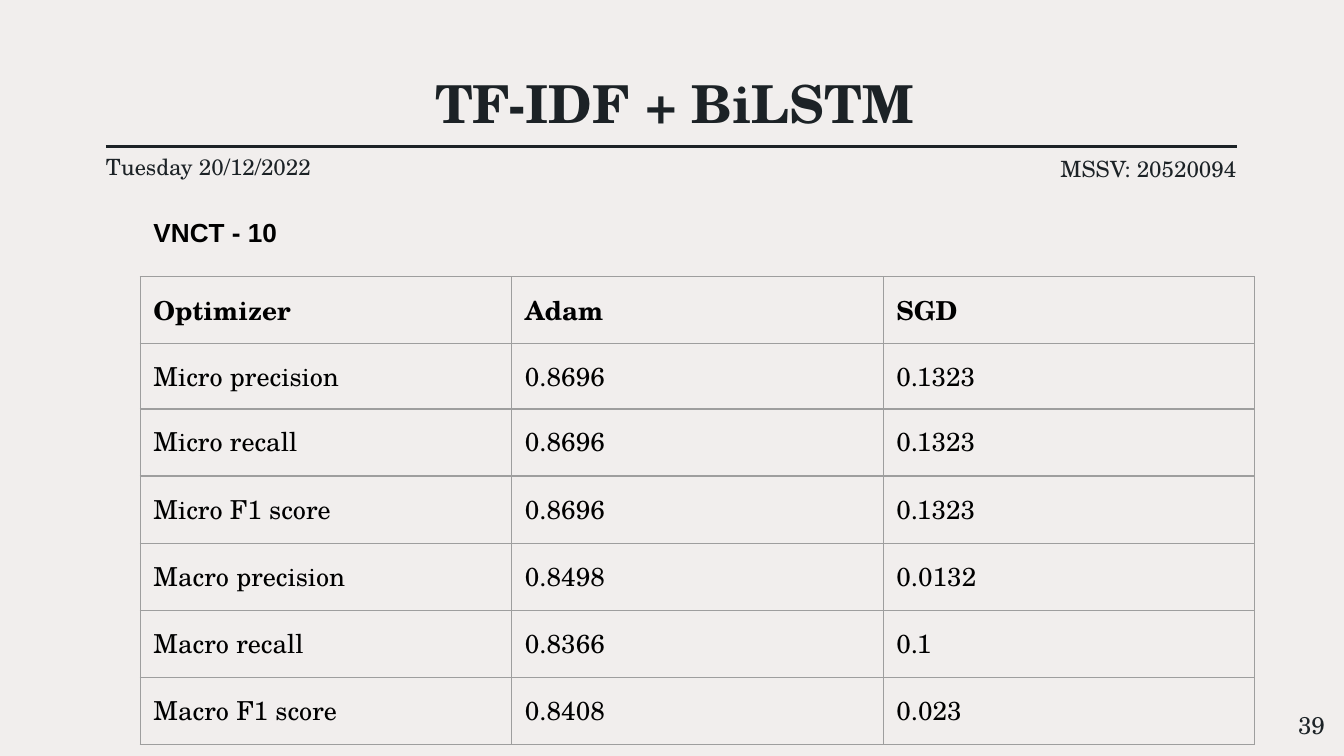
"""Builds the TF-IDF + BiLSTM optimizer comparison slide."""
import pptx
import pptx.dml.color
import pptx.enum.shapes
import pptx.enum.text
import pptx.oxml
import pptx.oxml.ns
import pptx.util
from pptx.util import Cm

ALIGN = pptx.enum.text.PP_ALIGN
ANCHOR = pptx.enum.text.MSO_ANCHOR


def color(value):
    return pptx.dml.color.RGBColor.from_string(value)


class SlideBuilder:
    SERIF = "TeX Gyre Schola"
    SANS = "Arial"
    INK = "1C2226"
    BLACK = "000000"
    GRID = "9E9E9E"
    BACKGROUND = "F1EEED"
    INSET = Cm(0.25)

    def __init__(self, presentation):
        self.slide = presentation.slides.add_slide(presentation.slide_layouts[5])
        self.slide.background.fill.solid()
        self.slide.background.fill.fore_color.rgb = color(self.BACKGROUND)

    def set_text(self, frame, text, size, font=SERIF, ink=INK, bold=False, align=ALIGN.LEFT):
        frame.text = text
        paragraph = frame.paragraphs[0]
        paragraph.alignment = align
        for run in paragraph.runs:
            run.font.name = font
            run.font.size = pptx.util.Pt(size)
            run.font.bold = bold
            run.font.color.rgb = color(ink)

    def format_frame(self, frame, anchor, side_inset=INSET):
        frame.word_wrap = True
        frame.auto_size = pptx.enum.text.MSO_AUTO_SIZE.NONE
        frame.vertical_anchor = anchor
        frame.margin_left = frame.margin_right = side_inset
        frame.margin_top = frame.margin_bottom = self.INSET

    def title(self, text, left, top, width, height):
        shape = self.slide.shapes.title
        shape.left, shape.top, shape.width, shape.height = left, top, width, height
        self.format_frame(shape.text_frame, ANCHOR.MIDDLE)
        self.set_text(shape.text_frame, text, 28, bold=True, align=ALIGN.CENTER)

    def text(self, text, left, top, width, height, size,
             anchor=ANCHOR.TOP, side_inset=INSET, **style):
        shape = self.slide.shapes.add_textbox(left, top, width, height)
        self.format_frame(shape.text_frame, anchor, side_inset)
        self.set_text(shape.text_frame, text, size, **style)
        return shape

    def rule(self, left, right, top):
        line = self.slide.shapes.add_connector(
            pptx.enum.shapes.MSO_CONNECTOR.STRAIGHT, left, top, right, top)
        line.line.color.rgb = color(self.INK)
        line.line.width = pptx.util.Pt(1.5)
        line._element.spPr.append(pptx.oxml.parse_xml(
            f"<a:effectLst {pptx.oxml.ns.nsdecls('a')}/>"))

    def border(self, cell):
        properties = cell._tc.get_or_add_tcPr()
        for side in ("lnL", "lnR", "lnT", "lnB"):
            properties.append(pptx.oxml.parse_xml(
                f'<a:{side} {pptx.oxml.ns.nsdecls("a")} w="9525"><a:solidFill>'
                f'<a:srgbClr val="{self.GRID}"/></a:solidFill></a:{side}>'))

    def table(self, rows, left, top, column_width, row_heights):
        table = self.slide.shapes.add_table(
            len(rows), len(rows[0]), left, top,
            column_width * len(rows[0]), sum(row_heights)).table
        table.first_row = table.horz_banding = False
        for column in table.columns:
            column.width = column_width
        for index, (values, height) in enumerate(zip(rows, row_heights)):
            table.rows[index].height = height
            for cell, value in zip(table.rows[index].cells, values):
                self.border(cell)
                cell.fill.background()
                cell.margin_left = cell.margin_right = self.INSET
                cell.margin_top = cell.margin_bottom = self.INSET
                self.set_text(cell.text_frame, value, 14, ink=self.BLACK, bold=index == 0)


def main():
    presentation = pptx.Presentation()
    presentation.slide_width = Cm(25.4)
    presentation.slide_height = Cm(14.29)
    builder = SlideBuilder(presentation)

    left, right = Cm(2), Cm(23.37)
    builder.rule(left, right, Cm(2.77))
    builder.title("TF-IDF + BiLSTM", Cm(2.26), Cm(1.35), Cm(20.96), Cm(1.17))

    caption_width = Cm(4.29)
    caption = {"top": Cm(2.9), "width": caption_width, "height": Cm(0.48),
               "size": 12, "anchor": ANCHOR.MIDDLE, "side_inset": 0}
    builder.text("Tuesday 20/12/2022", left, **caption)
    student = builder.text("MSSV: 20520094", right - caption_width,
                           align=ALIGN.RIGHT, **caption)
    student.text_frame.paragraphs[0].line_spacing = 1.15

    results = [
        ("Optimizer", "Adam", "SGD"),
        ("Micro precision", "0.8696", "0.1323"),
        ("Micro recall", "0.8696", "0.1323"),
        ("Micro F1 score", "0.8696", "0.1323"),
        ("Macro precision", "0.8498", "0.0132"),
        ("Macro recall", "0.8366", "0.1"),
        ("Macro F1 score", "0.8408", "0.023"),
    ]
    row_heights = [Cm(1.27), Cm(1.21)] + [Cm(1.27)] * 5
    table_left = Cm(2.65)
    builder.table(results, table_left, Cm(5.23), Cm(7.02), row_heights)
    builder.text("VNCT - 10", table_left, Cm(3.84), Cm(23), Cm(1.12), 14,
                 font=builder.SANS, ink=builder.BLACK, bold=True)
    builder.text("39", Cm(23.77), Cm(13.18), Cm(1.52), Cm(1.09), 13, align=ALIGN.RIGHT)

    presentation.save("out.pptx")


if __name__ == "__main__":
    main()
